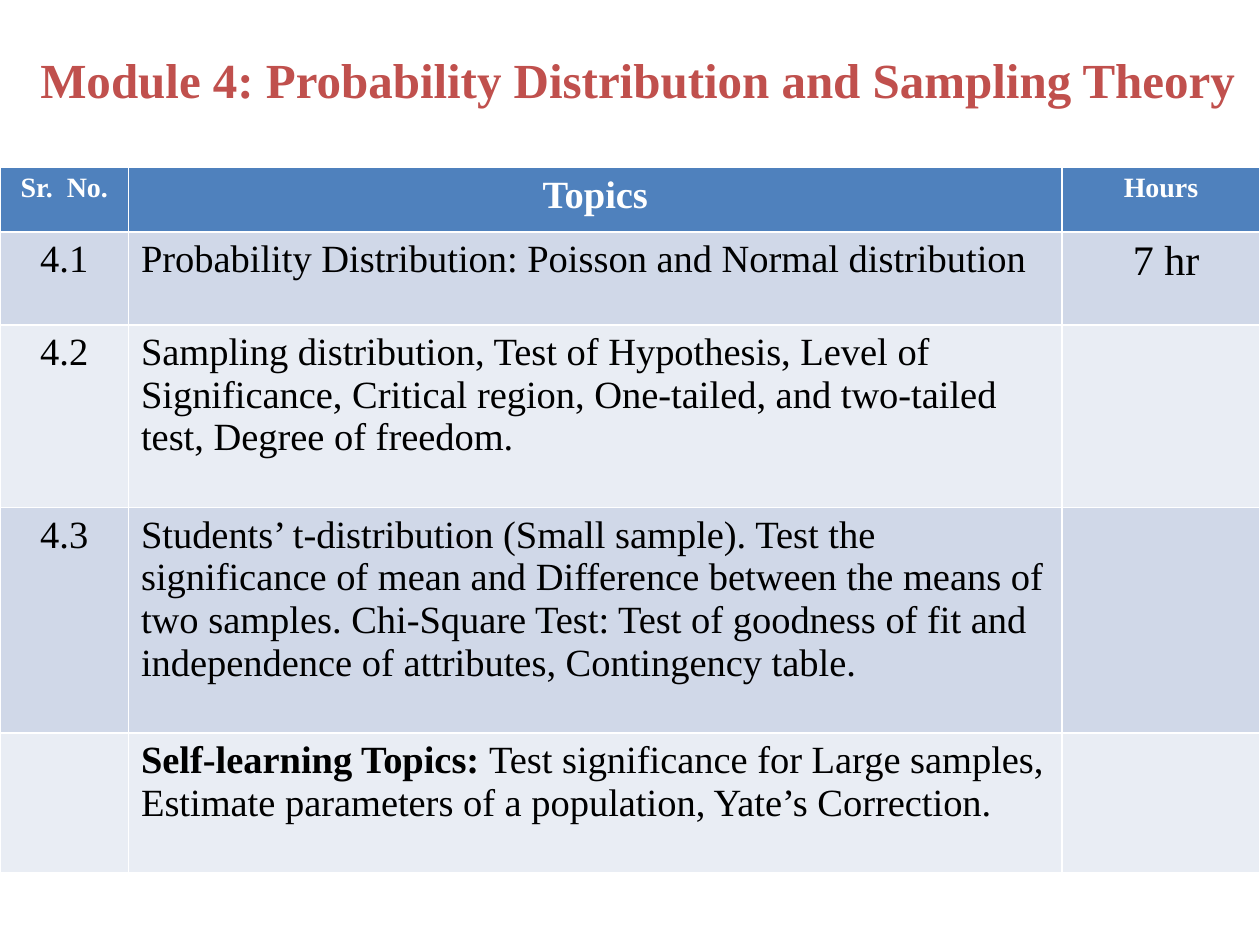
from dataclasses import dataclass

from pptx import Presentation
from pptx.dml.color import RGBColor
from pptx.enum.text import MSO_ANCHOR, PP_ALIGN
from pptx.util import Inches, Pt

FONT = "Times New Roman"
WHITE, BLACK, RED = "FFFFFF", "000000", "C0504D"
HEADER_FILL, BAND_FILLS = "4F81BD", ("D0D8E8", "E9EDF4")
COL_WIDTHS = (1.02, 7.41, 1.57)
ROW_HEIGHTS = (0.51, 0.74, 1.45, 1.79, 1.11)


@dataclass
class Topic:
    number: str
    text: str
    lead: str = ""
    hours: str = ""


TOPICS = (
    Topic("4.1", "Probability Distribution: Poisson and Normal distribution", hours="7 hr"),
    Topic("4.2", "Sampling distribution, Test of Hypothesis, Level of Significance, "
                 "Critical region, One-tailed, and two-tailed test, Degree of freedom."),
    Topic("4.3", "Students’ t-distribution (Small sample). Test the significance of mean "
                 "and Difference between the means of two samples. Chi-Square Test: Test of "
                 "goodness of fit and independence of attributes, Contingency table."),
    Topic("", "Test significance for Large samples, Estimate parameters of a population, "
              "Yate’s Correction.", lead="Self-learning Topics: "),
)


def rgb(color: str) -> RGBColor:
    return RGBColor.from_string(color)


def add_run(p, text: str, size: float, color: str = BLACK, bold: bool = False) -> None:
    if not text:
        return
    r = p.add_run()
    r.text = text
    r.font.name, r.font.size, r.font.bold = FONT, Pt(size), bold
    r.font.color.rgb = rgb(color)


def fill_cell(cell, color: str, align=PP_ALIGN.CENTER):
    """Colour a cell and return its aligned first paragraph."""
    cell.fill.solid()
    cell.fill.fore_color.rgb = rgb(color)
    p = cell.text_frame.paragraphs[0]
    p.alignment = align
    return p


def draw_header(cells) -> None:
    for cell, (text, size) in zip(cells, (("Sr.  No.", 16), ("Topics", 22), ("Hours", 16))):
        cell.margin_left = cell.margin_right = Inches(0.07)
        cell.margin_top = cell.margin_bottom = 0
        p = fill_cell(cell, HEADER_FILL)
        p.line_spacing = 1.15
        add_run(p, text, size, WHITE, True)


def draw_topic(cells, topic: Topic, color: str) -> None:
    number, text, hours = cells
    add_run(fill_cell(number, color), topic.number, 22)
    p = fill_cell(text, color, PP_ALIGN.LEFT)
    add_run(p, topic.lead, 22, bold=True)
    add_run(p, topic.text, 22)
    hours.margin_left = Inches(0.18)
    add_run(fill_cell(hours, color), topic.hours, 24)


def main() -> None:
    prs = Presentation()
    prs.slide_width, prs.slide_height = Inches(10), Inches(7.5)
    s = prs.slides.add_slide(prs.slide_layouts[5])

    # Title
    title = s.shapes.title
    title.left, title.top = Inches(0.1), Inches(0)
    title.width, title.height = Inches(9.92), Inches(1.25)
    tf = title.text_frame
    tf.vertical_anchor = MSO_ANCHOR.MIDDLE
    p = tf.paragraphs[0]
    p.alignment = PP_ALIGN.CENTER
    add_run(p, "Module 4: Probability Distribution and Sampling Theory", 28, RED, True)

    # Syllabus table; the default table style supplies the white borders
    table = s.shapes.add_table(len(ROW_HEIGHTS), len(COL_WIDTHS), Inches(0), Inches(1.33),
                               Inches(sum(COL_WIDTHS)), Inches(sum(ROW_HEIGHTS))).table
    for column, width in zip(table.columns, COL_WIDTHS):
        column.width = Inches(width)
    for row, height in zip(table.rows, ROW_HEIGHTS):
        row.height = Inches(height)

    header, *body = table.rows
    draw_header(header.cells)
    for i, (row, topic) in enumerate(zip(body, TOPICS)):
        draw_topic(row.cells, topic, BAND_FILLS[i % 2])

    prs.save("out.pptx")


if __name__ == "__main__":
    main()
